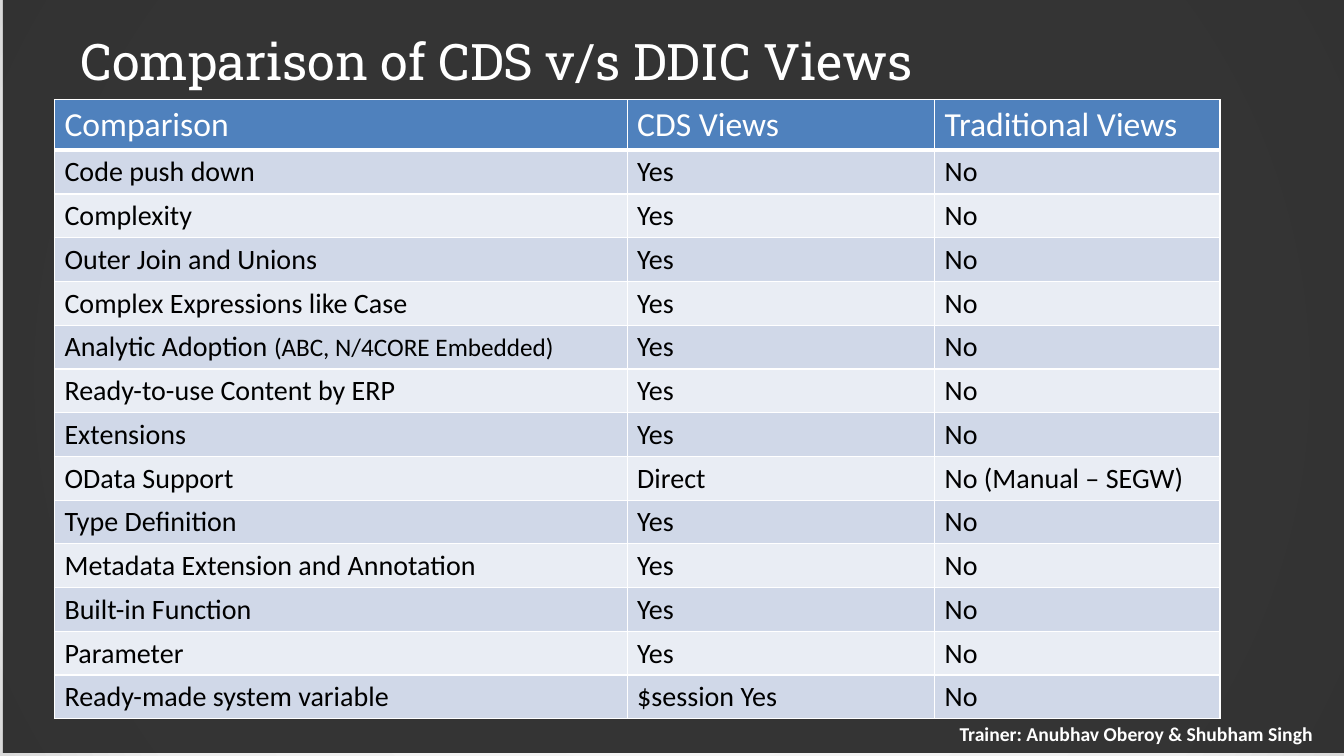
from pptx import Presentation
from pptx.dml.color import RGBColor
from pptx.enum.shapes import MSO_SHAPE
from pptx.enum.text import MSO_ANCHOR, PP_ALIGN
from pptx.oxml import parse_xml
from pptx.oxml.ns import nsdecls, qn
from pptx.util import Inches, Pt

COLORS = {
    "white": "FFFFFF", "black": "000000", "overlay": "262626",
    "header": "4F81BD", "band_dark": "D0D8E8", "band_light": "E9EDF4",
    "bg_mid": "EEEEEE", "bg_edge": "D9D9D9",
}
HEADER = ["Comparison", "CDS Views", "Traditional Views"]
ROWS = [
    ("Code push down", "Yes", "No"),
    ("Complexity", "Yes", "No"),
    ("Outer Join and Unions", "Yes", "No"),
    ("Complex Expressions like Case", "Yes", "No"),
    (("Analytic Adoption ", "(ABC, N/4CORE Embedded)"), "Yes", "No"),
    ("Ready-to-use Content by ERP", "Yes", "No"),
    ("Extensions", "Yes", "No"),
    ("OData Support", "Direct", "No (Manual – SEGW)"),
    ("Type Definition", "Yes", "No"),
    ("Metadata Extension and Annotation", "Yes", "No"),
    ("Built-in Function", "Yes", "No"),
    ("Parameter", "Yes", "No"),
    ("Ready-made system variable", "$session Yes", "No"),
]
COL_WIDTHS = [5.68, 3.05, 2.83]
HEADER_HEIGHT, ROW_HEIGHT = 0.49, 0.43


def rgb(name):
    return RGBColor.from_string(COLORS[name])


def add_run(p, text, size, color, font="Calibri", bold=False):
    r = p.add_run()
    r.text = text
    r.font.size = Pt(size)
    r.font.name = font
    r.font.bold = bold
    r.font.color.rgb = rgb(color)


def set_background(s):
    s.background.fill.solid()
    stops = "".join(
        f'<a:gs pos="{pos * 1000}"><a:srgbClr val="{COLORS[name]}"/></a:gs>'
        for pos, name in ((0, "white"), (81, "bg_mid"), (100, "bg_edge")))
    gradient = parse_xml(
        f'<a:gradFill {nsdecls("a")} rotWithShape="1"><a:gsLst>{stops}</a:gsLst>'
        '<a:path path="circle"><a:fillToRect l="50000" t="50000" r="50000" b="50000"/>'
        '</a:path></a:gradFill>')
    solid = s.element.find(".//" + qn("a:solidFill"))
    solid.getparent().replace(solid, gradient)


def add_overlay(s, left, top, width, height, opacity):
    sp = s.shapes.add_shape(MSO_SHAPE.RECTANGLE, Inches(left), Inches(top),
                            Inches(width), Inches(height))
    sp.shadow.inherit = False
    sp.line.fill.background()
    sp.fill.solid()
    sp.fill.fore_color.rgb = rgb("overlay")
    color = sp.element.spPr.find(".//" + qn("a:srgbClr"))
    color.append(parse_xml(f'<a:alpha {nsdecls("a")} val="{opacity * 1000}"/>'))


def add_text(s, left, top, width, height, text, size, align=PP_ALIGN.LEFT, **style):
    tf = s.shapes.add_textbox(Inches(left), Inches(top), Inches(width),
                              Inches(height)).text_frame
    tf.word_wrap = True
    tf.vertical_anchor = MSO_ANCHOR.MIDDLE
    tf.margin_left = tf.margin_right = Inches(0.13)
    tf.margin_top = tf.margin_bottom = Inches(0.07)
    p = tf.paragraphs[0]
    p.alignment = align
    add_run(p, text, size, "white", **style)


def set_borders(cell, bottom):
    tcPr = cell._tc.get_or_add_tcPr()
    for i, (side, width) in enumerate(zip("LRTB", (1, 1, 1, bottom))):
        tcPr.insert(i, parse_xml(
            f'<a:ln{side} {nsdecls("a")} w="{Pt(width)}"><a:solidFill>'
            f'<a:srgbClr val="{COLORS["white"]}"/></a:solidFill></a:ln{side}>'))


def fill_cell(cell, content, size, color, fill, bottom=1):
    cell.fill.solid()
    cell.fill.fore_color.rgb = rgb(fill)
    set_borders(cell, bottom)
    p = cell.text_frame.paragraphs[0]
    text, *details = (content,) if isinstance(content, str) else content
    add_run(p, text, size, color)
    for detail in details:
        add_run(p, detail, size - 2, color)


def add_comparison(s, left, top):
    height = HEADER_HEIGHT + ROW_HEIGHT * len(ROWS)
    table = s.shapes.add_table(len(ROWS) + 1, len(HEADER), Inches(left), Inches(top),
                               Inches(sum(COL_WIDTHS)), Inches(height)).table
    for column, width in zip(table.columns, COL_WIDTHS):
        column.width = Inches(width)
    for i, row in enumerate([HEADER] + ROWS):
        table.rows[i].height = Inches(ROW_HEIGHT if i else HEADER_HEIGHT)
        for j, content in enumerate(row):
            cell = table.cell(i, j)
            if i == 0:
                fill_cell(cell, content, 24, "white", "header", bottom=3)
            else:
                band = "band_dark" if i % 2 else "band_light"
                fill_cell(cell, content, 20, "black", band)


def main():
    prs = Presentation()
    prs.slide_width, prs.slide_height = Inches(13.33), Inches(7.5)
    s = prs.slides.add_slide(prs.slide_layouts[6])
    set_background(s)
    add_overlay(s, 0.03, -0.03, 13.33, 7.5, 93)
    add_text(s, 0.67, 0.21, 12, 0.78, "Comparison of CDS v/s DDIC Views", 36,
             font="Roboto Slab")
    add_comparison(s, 0.54, 0.99)
    add_text(s, 9.26, 7.08, 4.02, 0.39, "Trainer: Anubhav Oberoy & Shubham Singh", 14,
             align=PP_ALIGN.CENTER, bold=True)
    prs.save("out.pptx")


if __name__ == "__main__":
    main()
